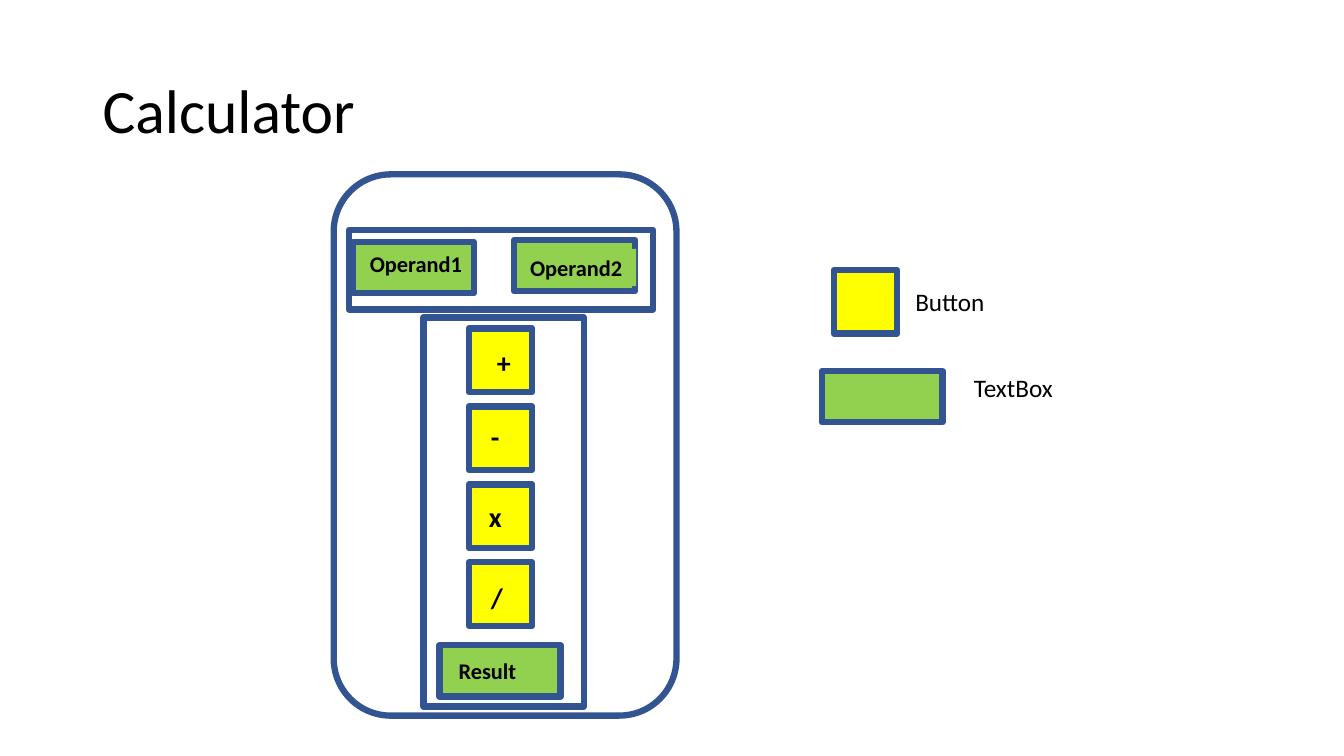
from pptx import Presentation
from pptx.dml.color import RGBColor
from pptx.enum.shapes import MSO_SHAPE
from pptx.enum.text import MSO_ANCHOR, PP_ALIGN
from pptx.util import Inches, Pt

CELL = 0.1  # grid cell in inches: columns run across, rows run down
GREEN, YELLOW, BLUE, BLACK = "92D050", "FFFF00", "325491", "000000"
BUTTON_SIZE = 6.3
FIELD_WIDTH, FIELD_HEIGHT = 12, 5.1


def color(value):
    return RGBColor.from_string(value)


def grid(*cells):
    return [Inches(n * CELL) for n in cells]


def add_box(s, col, row, cols, rows, fill=None, kind=MSO_SHAPE.RECTANGLE):
    box = s.shapes.add_shape(kind, *grid(col, row, cols, rows))
    box.shadow.inherit = False
    if fill:
        box.fill.solid()
        box.fill.fore_color.rgb = color(fill)
    else:
        box.fill.background()
    box.line.color.rgb = color(BLUE)
    box.line.width = Pt(4.5)
    return box


def add_button(s, col, row):
    add_box(s, col, row, BUTTON_SIZE, BUTTON_SIZE, YELLOW)


def add_field(s, col, row):
    add_box(s, col, row, FIELD_WIDTH, FIELD_HEIGHT, GREEN)


def add_label(s, text, col, row, cols, rows, size, bold=False, fill=None,
              anchor=MSO_ANCHOR.TOP):
    label = s.shapes.add_textbox(*grid(col, row, cols, rows))
    if fill:
        label.fill.solid()
        label.fill.fore_color.rgb = color(fill)
    tf = label.text_frame
    tf.word_wrap = True
    tf.vertical_anchor = anchor
    p = tf.paragraphs[0]
    p.text = text
    p.alignment = PP_ALIGN.LEFT
    p.font.name = "Calibri"
    p.font.size = Pt(size)
    p.font.bold = bold
    p.font.color.rgb = color(BLACK)
    return label


def add_calculator(s):
    add_box(s, 33.1, 17.3, 34, 53.7, kind=MSO_SHAPE.ROUNDED_RECTANGLE)

    for col, row in ((35, 24), (51, 23.8), (43.6, 64)):
        add_field(s, col, row)
    add_label(s, "Operand1", 35.7, 24.3, 12.5, 3.7, 16, True)
    add_label(s, "Operand2", 51.6, 24.7, 11.5, 3.7, 16, True, GREEN)
    add_label(s, "Result", 44.5, 64.7, 12.5, 3.7, 16, True)

    operators = (("+", 48.3, 33.8, 3.3, None), ("-", 47.7, 41.1, 3.9, YELLOW),
                 ("x", 47.5, 49.1, 3.3, None), ("/", 47.7, 57.1, 3.3, None))
    for i, (sign, col, row, cols, fill) in enumerate(operators):
        add_button(s, 46.5, 32.6 + 7.73 * i)
        add_label(s, sign, col, row, cols, 4.4, 20, True, fill)

    add_box(s, 34.6, 22.8, 30.2, 7.9)
    add_box(s, 42, 31.5, 15.9, 38.6)


def add_legend(s):
    add_button(s, 82.7, 26.8)
    add_label(s, "Button", 89.8, 27.9, 9.3, 4, 18)
    add_field(s, 81.5, 36.8)
    add_label(s, "TextBox", 95.6, 36.4, 12, 4, 18)


def main():
    prs = Presentation()
    prs.slide_width, prs.slide_height = Inches(13.33), Inches(7.5)
    s = prs.slides.add_slide(prs.slide_layouts[6])
    title = add_label(s, "Calculator", 9.2, 4, 115, 14.5, 44,
                      anchor=MSO_ANCHOR.MIDDLE)
    title.text_frame.paragraphs[0].line_spacing = 0.9
    add_calculator(s)
    add_legend(s)
    prs.save("out.pptx")


if __name__ == "__main__":
    main()
